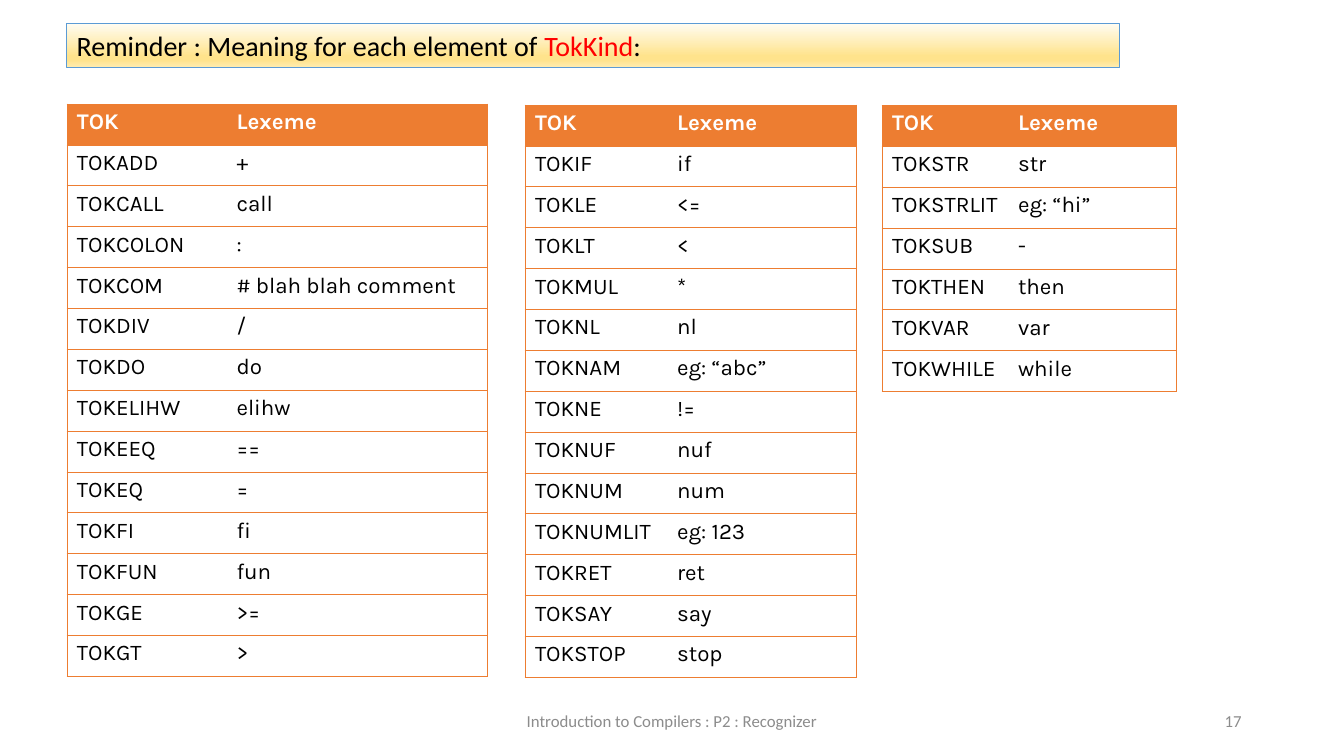
from lxml.etree import SubElement
from pptx import Presentation
from pptx.dml.color import RGBColor
from pptx.enum.text import MSO_ANCHOR as Anchor, MSO_AUTO_SIZE as AutoSize, PP_ALIGN as Align
from pptx.oxml.ns import qn
from pptx.util import Pt

ORANGE, BLACK, WHITE, GRAY = "ED7D31", "000000", "FFFFFF", "8C8C8C"
TITLE = [("Reminder : Meaning for each element of ", BLACK), ("TokKind", "FF0000"), (":", BLACK)]
TITLE_STOPS = [(0, "FFFCF2"), (74, "FFE38C"), (83, "FFE38C"), (100, "FFECB2")]
HEADER = ("TOK", "Lexeme")
TOKEN_TABLES = [
    {"left": 47.8, "top": 74.3, "widths": (114, 186), "rows": [
        ("TOKADD", "+"), ("TOKCALL", "call"), ("TOKCOLON", ":"),
        ("TOKCOM", "# blah blah comment"), ("TOKDIV", "/"), ("TOKDO", "do"),
        ("TOKELIHW", "elihw"), ("TOKEEQ", "=="), ("TOKEQ", "="), ("TOKFI", "fi"),
        ("TOKFUN", "fun"), ("TOKGE", ">="), ("TOKGT", ">")]},
    {"left": 375, "top": 75, "widths": (101.5, 135.5), "rows": [
        ("TOKIF", "if"), ("TOKLE", "<="), ("TOKLT", "<"), ("TOKMUL", "*"),
        ("TOKNL", "nl"), ("TOKNAM", "eg: “abc”"), ("TOKNE", "!="), ("TOKNUF", "nuf"),
        ("TOKNUM", "num"), ("TOKNUMLIT", "eg: 123"), ("TOKRET", "ret"),
        ("TOKSAY", "say"), ("TOKSTOP", "stop")]},
    {"left": 630, "top": 75.3, "widths": (90, 120), "rows": [
        ("TOKSTR", "str"), ("TOKSTRLIT", "eg: “hi”"), ("TOKSUB", "-"),
        ("TOKTHEN", "then"), ("TOKVAR", "var"), ("TOKWHILE", "while")]},
]
FOOTERS = [
    ("Introduction to Compilers : P2 : Recognizer", 318, 324, Align.CENTER),
    ("17", 678, 216, Align.RIGHT),
]
ROW_HEIGHT = 29.2


def rgb(color):
    return RGBColor.from_string(color)


def write(paragraph, text, size=16, font="Karla", color=BLACK, bold=False, align=Align.LEFT):
    paragraph.alignment = align
    run = paragraph.add_run()
    run.text = text
    run.font.size = Pt(size)
    run.font.name = font
    run.font.bold = bold
    run.font.color.rgb = rgb(color)


def set_borders(cell, visible):
    properties = cell._tc.get_or_add_tcPr()
    for side in "LRTB":
        line = SubElement(properties, qn("a:ln" + side), w=str(Pt(0.5)))
        if side in visible:
            fill = SubElement(line, qn("a:solidFill"))
            SubElement(fill, qn("a:srgbClr"), val=ORANGE)
        else:
            SubElement(line, qn("a:noFill"))


def add_title(slide):
    title = slide.shapes.title
    title.left, title.top, title.width, title.height = Pt(47.5), Pt(16.8), Pt(752.5), Pt(31.5)
    title.fill.gradient()
    title.fill.gradient_angle = 270
    stops = title.element.spPr.find(qn("a:gradFill")).find(qn("a:gsLst"))
    stops.clear()
    for position, color in TITLE_STOPS:
        stop = SubElement(stops, qn("a:gs"), pos=str(position * 1000))
        SubElement(stop, qn("a:srgbClr"), val=color)
    title.line.color.rgb = rgb("5B9BD5")
    title.line.width = Pt(0.75)
    frame = title.text_frame
    frame.auto_size = AutoSize.NONE
    frame.vertical_anchor = Anchor.TOP
    frame.word_wrap = True
    for text, color in TITLE:
        write(frame.paragraphs[0], text, size=20, font="Calibri", color=color)


def add_token_table(slide, left, top, widths, rows):
    rows = [HEADER] + rows
    table = slide.shapes.add_table(
        len(rows), len(widths), Pt(left), Pt(top), Pt(sum(widths)), Pt(ROW_HEIGHT * len(rows))).table
    table.horz_banding = False
    for column, width in zip(table.columns, widths):
        column.width = Pt(width)
    for row_index, texts in enumerate(rows):
        table.rows[row_index].height = Pt(ROW_HEIGHT)
        is_header = row_index == 0
        for column_index, text in enumerate(texts):
            cell = table.cell(row_index, column_index)
            set_borders(cell, "TB" + "LR"[column_index])
            if is_header:
                cell.fill.solid()
                cell.fill.fore_color.rgb = rgb(ORANGE)
            else:
                cell.fill.background()
            write(cell.text_frame.paragraphs[0], text,
                  color=WHITE if is_header else BLACK, bold=is_header)


def add_footer(slide, text, left, width, align):
    frame = slide.shapes.add_textbox(Pt(left), Pt(500.5), Pt(width), Pt(28.8)).text_frame
    frame.word_wrap = True
    frame.vertical_anchor = Anchor.MIDDLE
    write(frame.paragraphs[0], text, size=12, font="Calibri", color=GRAY, align=align)


presentation = Presentation()
presentation.slide_width, presentation.slide_height = Pt(960), Pt(540)
slide = presentation.slides.add_slide(presentation.slide_layouts.get_by_name("Title Only"))
for footer in FOOTERS:
    add_footer(slide, *footer)
add_title(slide)
for token_table in TOKEN_TABLES:
    add_token_table(slide, **token_table)
presentation.save("out.pptx")
